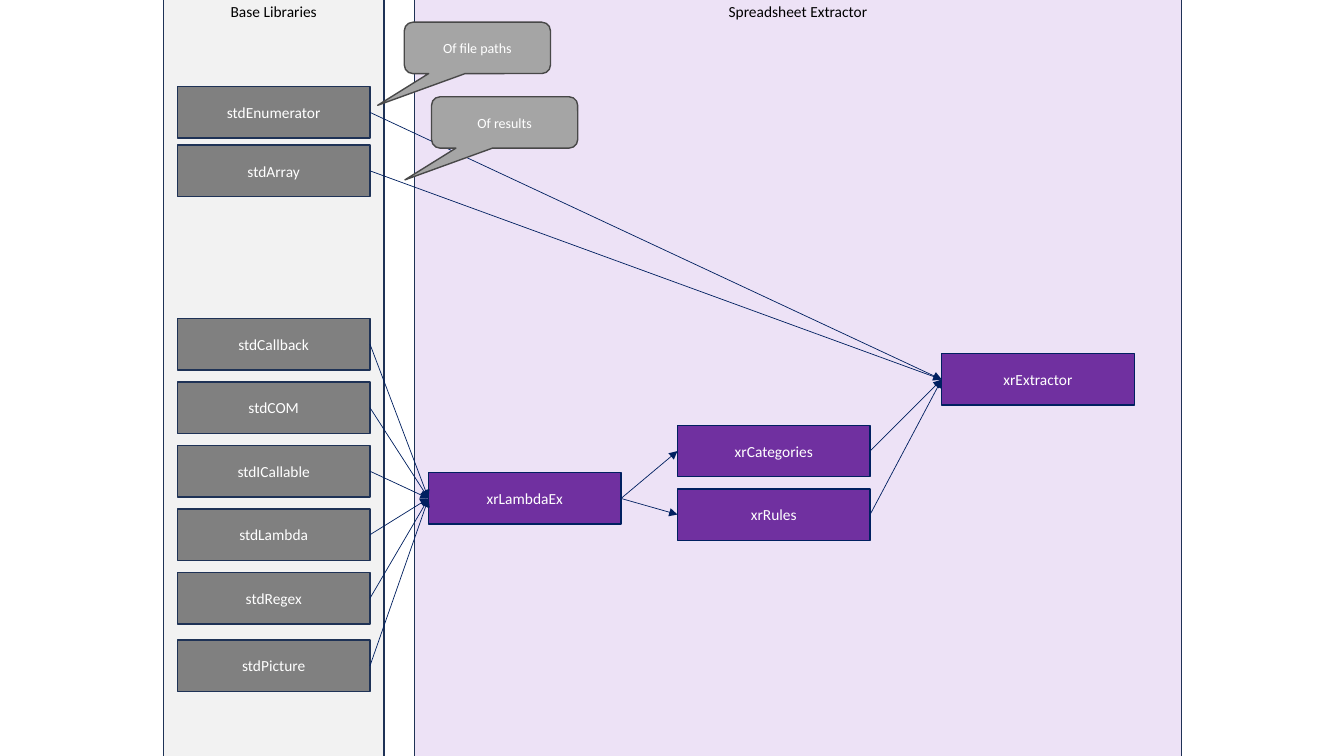
import pptx
import pptx.util
import pptx.dml.color
import pptx.enum.shapes
import pptx.enum.text
import pptx.oxml
import pptx.oxml.ns
from pptx.util import Inches

SHAPE = pptx.enum.shapes.MSO_SHAPE
ANCHOR = pptx.enum.text.MSO_ANCHOR
NAVY, INK = "002060", "1E3256"
GREY, PURPLE = "808080", "7030A0"
BOX_W, BOX_H = 1.91, 0.51
LEFT_SITE, RIGHT_SITE = 1, 3


def rgb(value):
    return pptx.dml.color.RGBColor.from_string(value)


def write(tf, text, size=11, color="FFFFFF", anchor=ANCHOR.MIDDLE):
    tf.word_wrap = True
    tf.vertical_anchor = anchor
    p = tf.paragraphs[0]
    p.alignment = pptx.enum.text.PP_ALIGN.CENTER
    r = p.add_run()
    r.text = text
    r.font.name = "Calibri"
    r.font.size = pptx.util.Pt(size)
    r.font.color.rgb = rgb(color)


class Diagram:
    def __init__(self, s):
        self.s = s

    def shape(self, kind, x, y, w, h, fill, line):
        sp = self.s.shapes.add_shape(kind, Inches(x), Inches(y), Inches(w), Inches(h))
        sp.shadow.inherit = False
        sp.fill.solid()
        sp.fill.fore_color.rgb = rgb(fill)
        sp.line.color.rgb = rgb(line)
        sp.line.width = pptx.util.Pt(1)
        return sp

    def panel(self, x, w, fill, title=None):
        sp = self.shape(SHAPE.RECTANGLE, x, -0.03, w, 7.55, fill, INK)
        if title:
            write(sp.text_frame, title, color="000000", anchor=ANCHOR.TOP)

    def box(self, text, x, y, fill, line):
        sp = self.shape(SHAPE.RECTANGLE, x, y, BOX_W, BOX_H, fill, line)
        write(sp.text_frame, text)
        return sp

    def callout(self, text, x, y):
        sp = self.shape(SHAPE.ROUNDED_RECTANGULAR_CALLOUT, x, y, 1.45, BOX_H,
                        "A5A5A5", "484848")
        for i, value in enumerate((-0.682, 1.117, 0.167)):
            sp.adjustments[i] = value
        write(sp.text_frame, text, size=10)

    def arrow(self, source, target):
        c = self.s.shapes.add_connector(
            pptx.enum.shapes.MSO_CONNECTOR.STRAIGHT, 0, 0, 0, 0)
        c.begin_connect(source, RIGHT_SITE)
        c.end_connect(target, LEFT_SITE)
        c.line.color.rgb = rgb(NAVY)
        c.line.width = pptx.util.Pt(0.5)
        tail = pptx.oxml.ns.qn("a:tailEnd")
        c.line._get_or_add_ln().makeelement(tail)
        ln = c.line._get_or_add_ln()
        ln.append(ln.makeelement(tail, {"type": "triangle"}))
        props = c._element.spPr
        props.append(props.makeelement(pptx.oxml.ns.qn("a:effectLst"), {}))


def main():
    prs = pptx.Presentation()
    prs.slide_width, prs.slide_height = Inches(13.33), Inches(7.5)
    d = Diagram(prs.slides.add_slide(prs.slide_layouts[6]))

    # Background panels
    d.panel(1.62, 10.1, "FFFFFF")
    d.panel(4.11, 7.61, "EDE2F6", "Spreadsheet Extractor")
    d.panel(1.62, 2.19, "F2F2F2", "Base Libraries")

    # Library and extractor boxes
    lambda_inputs = ["stdCallback", "stdCOM", "stdICallable", "stdLambda", "stdRegex"]
    tops = {"stdEnumerator": 0.86, "stdArray": 1.44}
    tops.update({name: 3.16 + 0.63 * i for i, name in enumerate(lambda_inputs)})
    tops["stdPicture"] = 6.35
    boxes = {name: d.box(name, 1.76, y, GREY, INK) for name, y in tops.items()}
    for name, x, y in (("xrLambdaEx", 4.25, 4.69), ("xrCategories", 6.72, 4.22),
                       ("xrRules", 6.72, 4.85), ("xrExtractor", 9.34, 3.51)):
        boxes[name] = d.box(name, x, y, PURPLE, NAVY)

    # Dependency arrows
    sources = {
        "xrLambdaEx": lambda_inputs + ["stdPicture"],
        "xrCategories": ["xrLambdaEx"],
        "xrRules": ["xrLambdaEx"],
        "xrExtractor": ["stdEnumerator", "stdArray", "xrCategories", "xrRules"],
    }
    for target, names in sources.items():
        for name in names:
            d.arrow(boxes[name], boxes[target])

    # Callouts
    d.callout("Of file paths", 4.01, 0.22)
    d.callout("Of results", 4.28, 0.96)

    prs.save("out.pptx")


if __name__ == "__main__":
    main()
